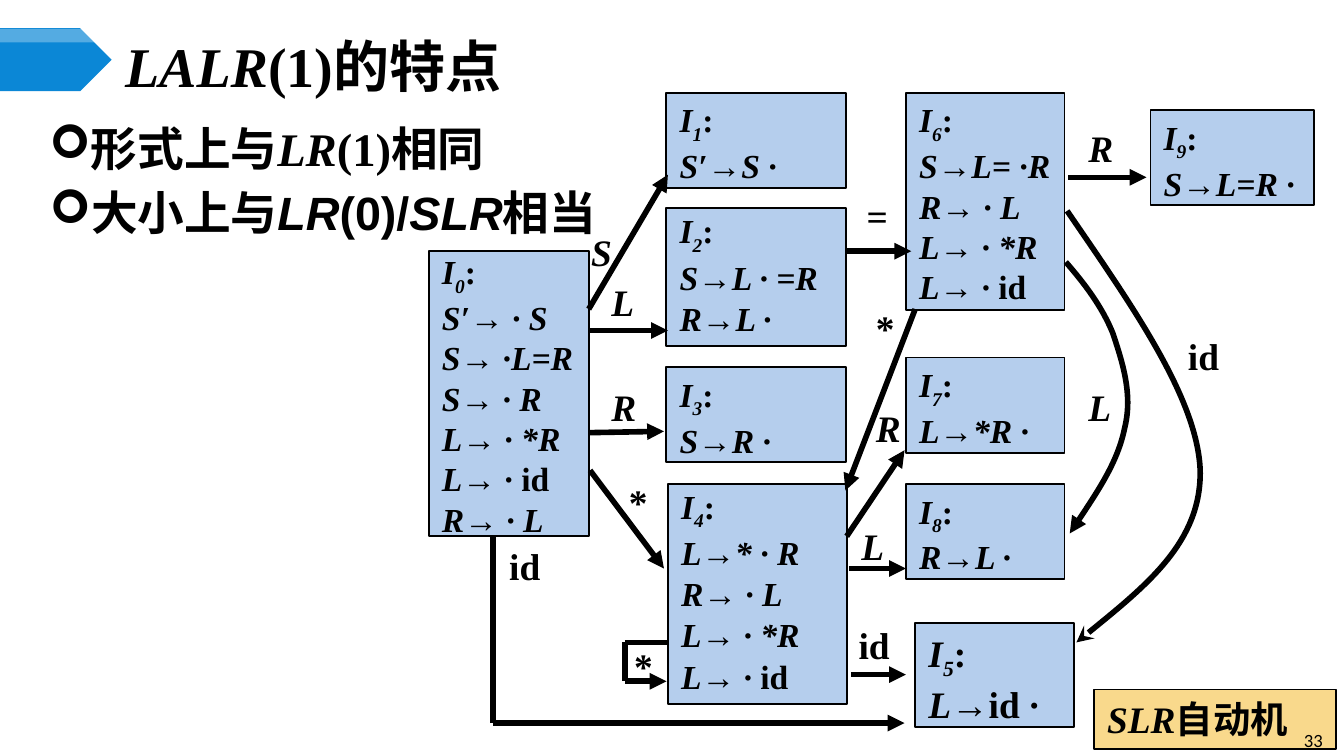
from lxml.etree import SubElement
from pptx import Presentation
from pptx.dml.color import RGBColor
from pptx.enum.shapes import MSO_CONNECTOR as Connector, MSO_SHAPE as Preset
from pptx.enum.text import MSO_ANCHOR as Anchor, MSO_AUTO_SIZE as AutoSize, PP_ALIGN as Align
from pptx.oxml.ns import qn
from pptx.util import Pt

COLORS = {"ink": "000000", "state": "B5CEED", "caption": "F9D98C",
          "ribbon": "0B87D6", "shine": "FFFFFF"}
SERIF, SANS, HANZI = "Times New Roman", "Arial", "Noto Sans CJK SC"

STATES = [
    (0, (229.7, 134.6, 85.7, 152.6),
     ["S′→ · S", "S→ ·L=R", "S→ · R", "L→ · *R", "L→ · id", "R→ · L"], {"inset": 0}),
    (1, (357, 49.7, 96.5, 51), ["S′→S ·"], {}),
    (2, (357, 111.6, 96.5, 74), ["S→L · =R", "R→L ·"], {"spacing": 22}),
    (3, (357, 196.6, 96.5, 51), ["S→R ·"], {}),
    (4, (357.8, 259.2, 95.8, 118), ["L→* · R", "R→ · L", "L→ · *R", "L→ · id"], {"spacing": 22}),
    (5, (490.3, 334, 85, 55.4), ["L→id ·"], {"size": 20}),
    (6, (485.3, 49.7, 85, 116.6), ["S→L= ·R", "R→ · L", "L→ · *R", "L→ · id"], {}),
    (7, (485.3, 191.5, 85, 51), ["L→*R ·"], {}),
    (8, (485.3, 259.2, 85, 51), ["R→L ·"], {}),
    (9, (616.3, 59, 87.8, 51), ["S→L=R ·"], {}),
]
ARROWS = [
    ((315.4, 165.6), (357.8, 93.6)), ((315.4, 177.1), (357.8, 177.1)),
    ((315.4, 231.8), (355.7, 231.1)), ((316.1, 252), (355.7, 304.6)),
    ((453.6, 134.6), (488.2, 134.6)), ((453.6, 287.3), (484.6, 241.2)),
    ((455, 304.6), (485.3, 304.6)), ((455.8, 361.4), (485.3, 361.4)),
    ((572.4, 95), (614.2, 95)), ((490.3, 165.6), (452.9, 262.8)),
    ((334.8, 365), (357.1, 365)), ((264.2, 387.4), (484.6, 387.4)),
]
PLAIN_EDGES = [
    ((334.8, 344.2), (357.1, 344.2)), ((334.8, 344.2), (334.8, 365)),
    ((264.2, 387.4), (264.2, 287.3)),
]
LABELS = [
    ("S", 309.6, 119.5, 41.8), ("L", 320.4, 146.2, 39.6), ("R", 320.4, 202.3, 48.2),
    ("*", 329.8, 253.4, 41.8), ("id", 265.7, 287.3, 41.8), ("=", 457.2, 100.1, 36),
    ("*", 462.2, 159.8, 41.8), ("R", 462.2, 213.8, 36), ("L", 454.3, 276.5, 30.2),
    ("id", 452.9, 329.8, 41.8), ("*", 332.6, 341.3, 41.8), ("R", 576, 63.4, 41.8),
    ("L", 576, 202.3, 36), ("id", 629.3, 175, 54),
]
CURVES = [
    ("triangle", [(571, 140.4), (581, 151.9), (590.4, 164.2), (596.2, 178.6), (601.2, 193.7),
                  (607, 211), (602.6, 229), (599, 247), (586.1, 266.4), (573.1, 285.8)]),
    ("stealth", [(571.7, 113), (606.2, 163.4), (641.5, 213.1), (643, 252),
                 (643.7, 290.2), (610.6, 316.8), (576.7, 344.2)]),
]


def rgb(name):
    """Return the named palette colour."""
    return RGBColor.from_string(COLORS[name])


def add_run(paragraph, text, size, italic=False, font=SERIF, bold=True, subscript=False):
    """Append one formatted run."""
    run = paragraph.add_run()
    run.text = text
    run.font.size, run.font.name = Pt(size), font
    run.font.bold, run.font.italic = bold, italic
    run.font.color.rgb = rgb("ink")
    properties = run.font._element
    if subscript:
        properties.set("baseline", "-25000")
    if max(text) >= "一":
        properties.find(qn("a:latin")).addnext(properties.makeelement(qn("a:ea"), typeface=HANZI))


def place(holder, area):
    """Move a shape to an area given in points."""
    holder.left, holder.top, holder.width, holder.height = map(Pt, area)


def text_frame(holder, anchor=Anchor.TOP):
    """Return the shape's frame, wrapping and fixed in size."""
    frame = holder.text_frame
    frame.word_wrap, frame.auto_size = True, AutoSize.NONE
    frame.vertical_anchor = anchor
    return frame


def add_text(slide, area, anchor=Anchor.TOP):
    """Add a text box and return its first paragraph."""
    return text_frame(slide.shapes.add_textbox(*map(Pt, area)), anchor).paragraphs[0]


def add_panel(slide, area, color, preset=Preset.RECTANGLE, outlined=True):
    """Add a filled preset shape."""
    panel = slide.shapes.add_shape(preset, *map(Pt, area))
    panel.shadow.inherit = False
    panel.fill.solid()
    panel.fill.fore_color.rgb = rgb(color)
    if outlined:
        panel.line.color.rgb, panel.line.width = rgb("ink"), Pt(1)
    else:
        panel.line.fill.background()
    return panel


def add_ribbon(slide):
    """Add the arrow-shaped ribbon with its translucent shine."""
    add_panel(slide, (0, 15.1, 59.8, 33.8), "ribbon", Preset.PENTAGON, False)
    shine = add_panel(slide, (0, 15.5, 59.8, 7.2), "shine", Preset.PENTAGON, False)
    tint = shine._element.spPr.find(qn("a:solidFill"))[0]
    SubElement(tint, qn("a:alpha"), val="30000")


def add_bullet(paragraph, runs, font):
    """Fill a paragraph as an arrowhead bullet of (text, italic) runs."""
    properties = paragraph._p.get_or_add_pPr()
    properties.set("marL", str(Pt(21.6)))
    properties.set("indent", str(Pt(-21.6)))
    paragraph.alignment, paragraph.space_before = Align.LEFT, Pt(0)
    SubElement(SubElement(properties, qn("a:buClr")), qn("a:srgbClr"), val=COLORS["ink"])
    SubElement(properties, qn("a:buFont"), typeface="Wingdings")
    SubElement(properties, qn("a:buChar"), char="➢")
    for text, italic in runs:
        add_run(paragraph, text, 25, italic, font)


def add_state(slide, number, area, items, size=18, spacing=None, inset=3.6):
    """Add one automaton state with its items."""
    frame = text_frame(add_panel(slide, area, "state"))
    frame.margin_top = frame.margin_bottom = Pt(inset)
    frame.margin_right = Pt(0)
    heading = frame.paragraphs[0]
    add_run(heading, "I", size, True)
    add_run(heading, str(number), size, True, subscript=True)
    add_run(heading, ":", size)
    for item in items:
        before, terminal, after = item.partition("id")
        production = frame.add_paragraph()
        for text, italic in ((before, True), (terminal, False), (after, True)):
            if text:
                add_run(production, text, size, italic)
    for paragraph in frame.paragraphs:
        paragraph.alignment = Align.LEFT
        if spacing:
            paragraph.line_spacing = Pt(spacing)


def style_edge(edge, head):
    """Draw an edge in thick ink with an optional arrowhead."""
    edge.line.color.rgb, edge.line.width = rgb("ink"), Pt(3)
    if head:
        SubElement(edge._element.spPr.find(qn("a:ln")), qn("a:tailEnd"), type=head)


def add_edge(slide, start, end, head=None):
    """Add a straight transition."""
    edge = slide.shapes.add_connector(Connector.STRAIGHT, *map(Pt, start + end))
    style_edge(edge, head)
    SubElement(edge._element.spPr, qn("a:effectLst"))


def add_curve(slide, head, points):
    """Add a curved transition through Bezier control points."""
    start, *controls = [tuple(map(Pt, point)) for point in points]
    builder = slide.shapes.build_freeform(*start)
    builder.add_line_segments(controls, close=False)
    curve = builder.convert_to_shape()
    curve.shadow.inherit = False
    curve.fill.background()
    style_edge(curve, head)
    segments = list(curve._element.iter(qn("a:lnTo")))
    for first in range(0, len(segments), 3):
        bezier = segments[first].makeelement(qn("a:cubicBezTo"))
        segments[first].addprevious(bezier)
        for segment in segments[first:first + 3]:
            bezier.append(segment[0])
            segment.getparent().remove(segment)


def main():
    """Build the slide and save it."""
    deck = Presentation()
    deck.slide_width, deck.slide_height = Pt(720), Pt(405)
    slide = deck.slides.add_slide(deck.slide_layouts[1])
    title, body = slide.placeholders
    add_ribbon(slide)

    place(title, (59.8, 20.9, 624.2, 28.1))
    heading = text_frame(title, Anchor.MIDDLE).paragraphs[0]
    heading.alignment = Align.LEFT
    add_run(heading, "LALR", 30, True)
    add_run(heading, "(1)", 30)
    add_run(heading, "的特点", 30, font=HANZI)

    form = add_text(slide, (19.4, 60.5, 432.7, 33.8))
    add_bullet(form, [("形式上与", False), ("LR", True), ("(1)相同", False)], SERIF)
    place(body, (19.4, 95, 466.6, 45.4))
    add_bullet(text_frame(body).paragraphs[0],
               [("大小上与", False), ("LR", True), ("(0)/", False), ("SLR", True),
                ("相当", False)], SANS)

    for number, area, items, options in STATES:
        add_state(slide, number, area, items, **options)
    for start, end in ARROWS:
        add_edge(slide, start, end, "triangle")
    for start, end in PLAIN_EDGES:
        add_edge(slide, start, end)
    for head, points in CURVES:
        add_curve(slide, head, points)
    for symbol, left, top, width in LABELS:
        add_run(add_text(slide, (left, top, width, 31.7)), symbol, 20, symbol.isupper())

    caption = text_frame(add_panel(slide, (586, 369.4, 129.6, 31.7), "caption")).paragraphs[0]
    caption.alignment = Align.LEFT
    add_run(caption, "SLR", 20, True)
    add_run(caption, "自动机", 20, font=HANZI)
    page = add_text(slide, (684, 389.5, 31.7, 13.7), Anchor.MIDDLE)
    page.alignment = Align.RIGHT
    add_run(page, "33", 10, font="Calibri", bold=False)
    deck.save("out.pptx")


if __name__ == "__main__":
    main()
